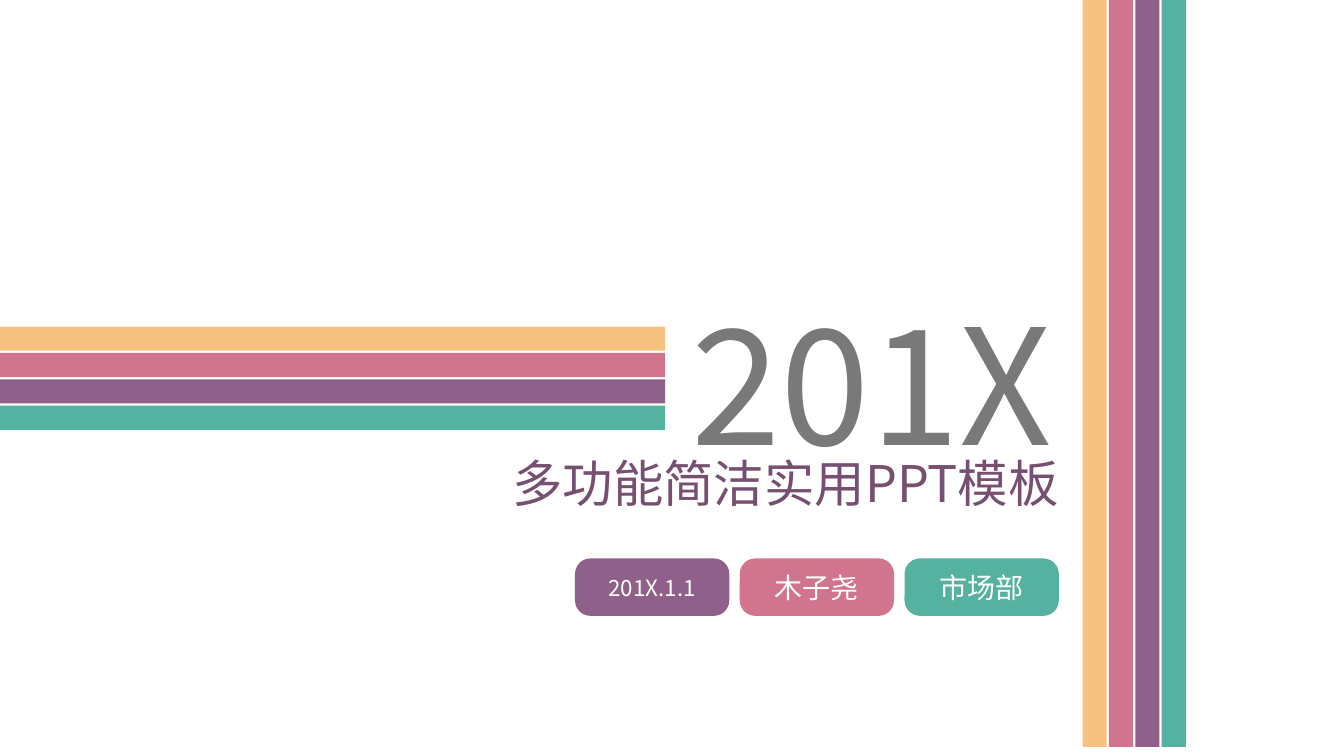
from lxml import etree
from pptx import Presentation
from pptx.dml.color import RGBColor
from pptx.enum.shapes import MSO_SHAPE
from pptx.enum.text import MSO_ANCHOR, MSO_AUTO_SIZE, PP_ALIGN
from pptx.oxml.ns import qn
from pptx.util import Inches, Pt

RECTANGLE, ROUNDED = MSO_SHAPE.RECTANGLE, MSO_SHAPE.ROUNDED_RECTANGLE
CENTER, RIGHT = PP_ALIGN.CENTER, PP_ALIGN.RIGHT
MIDDLE = MSO_ANCHOR.MIDDLE
GROW = MSO_AUTO_SIZE.SHAPE_TO_FIT_TEXT

SLIDE_WIDTH, SLIDE_HEIGHT = Inches(13.33), Inches(7.5)
FONT = "Noto Sans CJK SC"
ORANGE, PINK, PURPLE, GREEN = "F7C17F", "D1758E", "8F608A", "55B2A0"
GRAY, PLUM, WHITE = "797979", "774F71", "FFFFFF"
STRIPES = [ORANGE, PINK, PURPLE, GREEN]
BADGES = [("201X.1.1", 16, PURPLE), ("木子尧", 20, PINK), ("市场部", 20, GREEN)]


def color(hex_value):
    """Turn a hex string into a colour."""
    return RGBColor.from_string(hex_value)


def place(left, top, width, height):
    """Turn percentages of the slide into a position and size."""
    return (int(SLIDE_WIDTH * left / 100), int(SLIDE_HEIGHT * top / 100),
            int(SLIDE_WIDTH * width / 100), int(SLIDE_HEIGHT * height / 100))


def write(frame, text, size, hex_value, align):
    """Write one styled paragraph into a text frame."""
    paragraph = frame.paragraphs[0]
    paragraph.text = text
    paragraph.alignment = align
    font = paragraph.font
    font.name, font.size = FONT, Pt(size)
    font.color.rgb = color(hex_value)
    defaults = paragraph._p.pPr.find(qn("a:defRPr"))
    etree.SubElement(defaults, qn("a:ea")).set("typeface", FONT)


def add_block(slide, kind, area, hex_value):
    """Add a plain filled shape."""
    block = slide.shapes.add_shape(kind, *place(*area))
    block.shadow.inherit = False
    block.fill.solid()
    block.fill.fore_color.rgb = color(hex_value)
    block.line.fill.background()
    return block


def add_heading(slide, area, text, size, hex_value, align):
    """Add a wrapping text box that grows with its text."""
    frame = slide.shapes.add_textbox(*place(*area)).text_frame
    frame.word_wrap = True
    frame.auto_size = GROW
    write(frame, text, size, hex_value, align)


def add_badge(slide, area, text, size, hex_value):
    """Add a rounded label with centred white text."""
    badge = add_block(slide, ROUNDED, area, hex_value)
    badge.adjustments[0] = 0.27
    badge.text_frame.vertical_anchor = MIDDLE
    write(badge.text_frame, text, size, WHITE, CENTER)


def main():
    """Build the cover slide."""
    deck = Presentation()
    deck.slide_width, deck.slide_height = SLIDE_WIDTH, SLIDE_HEIGHT
    slide = deck.slides.add_slide(deck.slide_layouts[6])

    add_heading(slide, (47.63, 36.93, 34.43, 27.2), "201X", 115, GRAY, CENTER)
    for index, stripe in enumerate(STRIPES):
        add_block(slide, RECTANGLE, (0, 43.2 + 3.49 * index, 49.5, 3.2), stripe)
        add_block(slide, RECTANGLE, (80.55, 0, 1.8, 98.8) if index == 0
                  else (80.55 + 1.96 * index, 0, 1.8, 98.8), stripe)
    add_heading(slide, (34.8, 59.2, 44.7, 9.47),
                "多功能简洁实用PPT模板", 36, PLUM, RIGHT)
    for index, (text, size, fill) in enumerate(BADGES):
        add_badge(slide, (42.78 + 12.26 * index, 73.87, 11.48, 7.6),
                  text, size, fill)

    deck.save("out.pptx")


if __name__ == "__main__":
    main()
